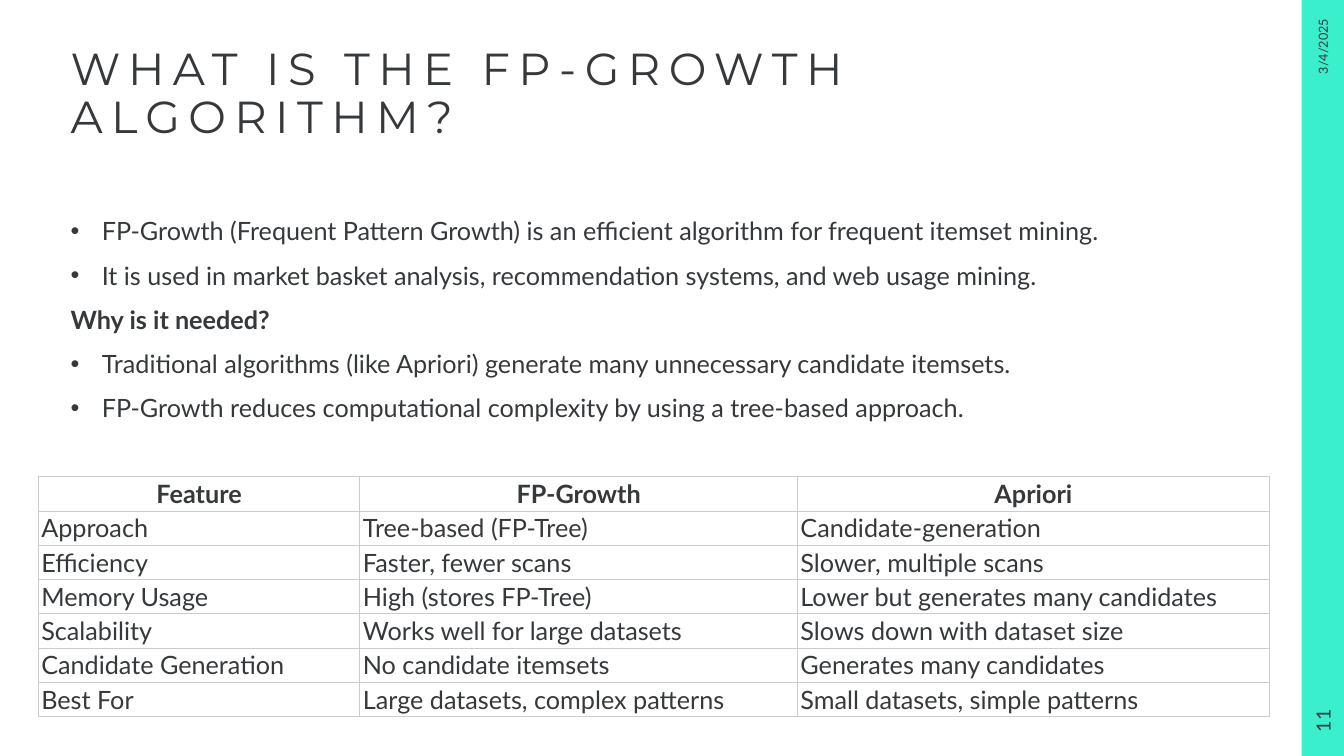
from dataclasses import dataclass

from lxml.etree import SubElement
from pptx import Presentation
from pptx.dml.color import RGBColor
from pptx.enum.shapes import MSO_SHAPE
from pptx.enum.text import MSO_ANCHOR, MSO_AUTO_SIZE, PP_ALIGN
from pptx.oxml import parse_xml
from pptx.oxml.ns import nsdecls, qn
from pptx.util import Inches, Pt


@dataclass(frozen=True)
class Theme:
    ink: RGBColor = RGBColor.from_string("36393B")
    accent: RGBColor = RGBColor.from_string("3AEFCC")
    border: str = "CCCCCC"
    heading_font: str = "Montserrat"
    body_font: str = "Lato"
    title_size: int = 32
    body_size: int = 18
    number_size: int = 14
    date_size: int = 9
    border_width: float = 0.75


THEME = Theme()
TITLE = "WHAT IS THE FP-GROWTH ALGORITHM?"
POINTS = [
    ("FP-Growth (Frequent Pattern Growth) is an efficient algorithm for frequent itemset mining.", True),
    ("It is used in market basket analysis, recommendation systems, and web usage mining.", True),
    ("Why is it needed?", False),
    ("Traditional algorithms (like Apriori) generate many unnecessary candidate itemsets.", True),
    ("FP-Growth reduces computational complexity by using a tree-based approach.", True),
]
COMPARISON = [
    ("Feature", "FP-Growth", "Apriori"),
    ("Approach", "Tree-based (FP-Tree)", "Candidate-generation"),
    ("Efficiency", "Faster, fewer scans", "Slower, multiple scans"),
    ("Memory Usage", "High (stores FP-Tree)", "Lower but generates many candidates"),
    ("Scalability", "Works well for large datasets", "Slows down with dataset size"),
    ("Candidate Generation", "No candidate itemsets", "Generates many candidates"),
    ("Best For", "Large datasets, complex patterns", "Small datasets, simple patterns"),
]
COLUMN_WIDTHS = (3.19, 4.34, 4.68)
ROW_HEIGHT = 0.34


def apply(target, values):
    for name, value in values.items():
        setattr(target, name, value)


def place(shape, left, top, width, height):
    apply(shape, {"left": Inches(left), "top": Inches(top),
                  "width": Inches(width), "height": Inches(height)})


def format_frame(frame, anchor, left=0.1, top=0.0, right=0.0, bottom=0.0):
    apply(frame, {"word_wrap": True, "auto_size": MSO_AUTO_SIZE.NONE, "vertical_anchor": anchor,
                  "margin_left": Inches(left), "margin_top": Inches(top),
                  "margin_right": Inches(right), "margin_bottom": Inches(bottom)})


def write(para, text, size, font=THEME.body_font, bold=False, align=PP_ALIGN.LEFT):
    para.alignment = align
    span = para.add_run()
    span.text = text
    apply(span.font, {"name": font, "size": Pt(size), "bold": bold})
    span.font.color.rgb = THEME.ink
    return span


def set_bullet(para, bulleted):
    properties = para._p.get_or_add_pPr()
    indent = Inches(0.31) if bulleted else 0
    properties.set("marL", str(indent))
    properties.set("indent", str(-indent))
    if bulleted:
        SubElement(properties, qn("a:buFont")).set("typeface", "Arial")
        SubElement(properties, qn("a:buChar")).set("char", "•")
    else:
        SubElement(properties, qn("a:buNone"))


def add_sidebar(page):
    bar = page.shapes.add_shape(MSO_SHAPE.RECTANGLE, Inches(12.91), 0, Inches(0.42), Inches(7.5))
    bar.shadow.inherit = False
    bar.fill.solid()
    bar.fill.fore_color.rgb = THEME.accent
    bar.line.fill.background()


def add_sidebar_label(page, text, size, left, top, width):
    box = page.shapes.add_textbox(Inches(left), Inches(top), Inches(width), Inches(0.42))
    box.rotation = 270
    format_frame(box.text_frame, MSO_ANCHOR.MIDDLE, left=0)
    write(box.text_frame.paragraphs[0], text, size, align=PP_ALIGN.CENTER)


def fill_title(title):
    place(title, 0.6, 0.12, 8.62, 1.3)
    format_frame(title.text_frame, MSO_ANCHOR.BOTTOM, top=0.1)
    para = title.text_frame.paragraphs[0]
    para.line_spacing = 0.9
    span = write(para, TITLE, THEME.title_size, THEME.heading_font)
    span._r.get_or_add_rPr().set("spc", "600")


def fill_body(body):
    place(body, 0.6, 2.14, 11.8, 2.43)
    frame = body.text_frame
    format_frame(frame, MSO_ANCHOR.TOP)
    for index, (text, bulleted) in enumerate(POINTS):
        para = frame.add_paragraph() if index else frame.paragraphs[0]
        set_bullet(para, bulleted)
        apply(para, {"space_before": Pt(10 if index else 0), "line_spacing": 1.0})
        write(para, text, THEME.body_size, bold=not bulleted)


def set_borders(cell):
    properties = cell._tc.get_or_add_tcPr()
    for side in ("lnL", "lnR", "lnT", "lnB"):
        properties.append(parse_xml(
            f'<a:{side} {nsdecls("a")} w="{Pt(THEME.border_width)}"><a:solidFill>'
            f'<a:srgbClr val="{THEME.border}"/></a:solidFill></a:{side}>'))


def format_cell(cell, text, header):
    set_borders(cell)
    cell.fill.background()
    apply(cell, {"vertical_anchor": MSO_ANCHOR.BOTTOM,
                 "margin_left": Inches(0.03), "margin_right": Inches(0.03),
                 "margin_top": Inches(0.02), "margin_bottom": Inches(0.02)})
    align = PP_ALIGN.CENTER if header else PP_ALIGN.LEFT
    write(cell.text_frame.paragraphs[0], text, THEME.body_size, bold=header, align=align)


def add_comparison(page):
    table = page.shapes.add_table(
        len(COMPARISON), len(COLUMN_WIDTHS), Inches(0.38), Inches(4.73),
        Inches(sum(COLUMN_WIDTHS)), Inches(ROW_HEIGHT * len(COMPARISON))).table
    table.horz_banding = False
    for column, width in zip(table.columns, COLUMN_WIDTHS):
        column.width = Inches(width)
    for row_index, values in enumerate(COMPARISON):
        table.rows[row_index].height = Inches(ROW_HEIGHT)
        for column_index, text in enumerate(values):
            format_cell(table.cell(row_index, column_index), text, row_index == 0)


def main():
    deck = Presentation()
    apply(deck, {"slide_width": Inches(13.33), "slide_height": Inches(7.5)})
    page = deck.slides.add_slide(deck.slide_layouts[1])
    add_sidebar(page)
    fill_title(page.shapes.title)
    add_sidebar_label(page, "3/4/2025", THEME.date_size, 12.66, 0.25, 0.92)
    add_sidebar_label(page, "11", THEME.number_size, 12.77, 6.94, 0.7)
    fill_body(page.placeholders[1])
    add_comparison(page)
    deck.save("out.pptx")


if __name__ == "__main__":
    main()
